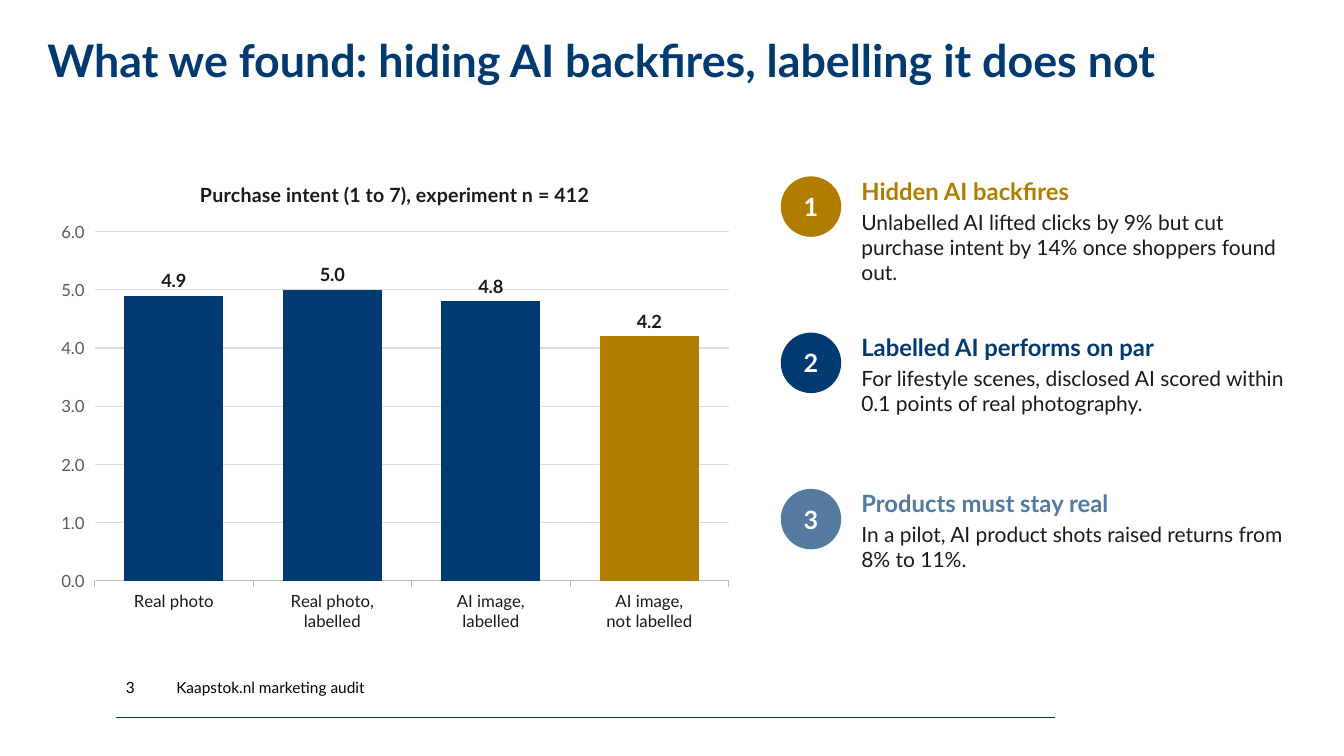
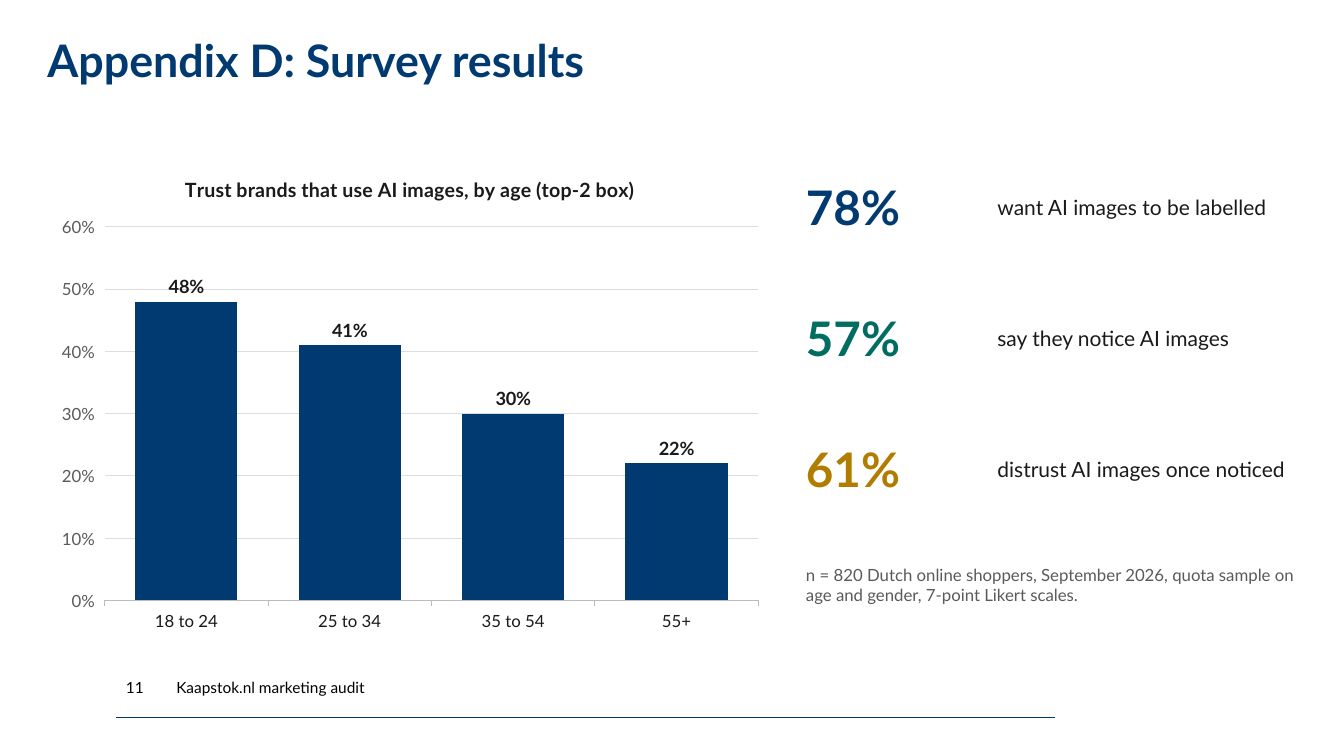
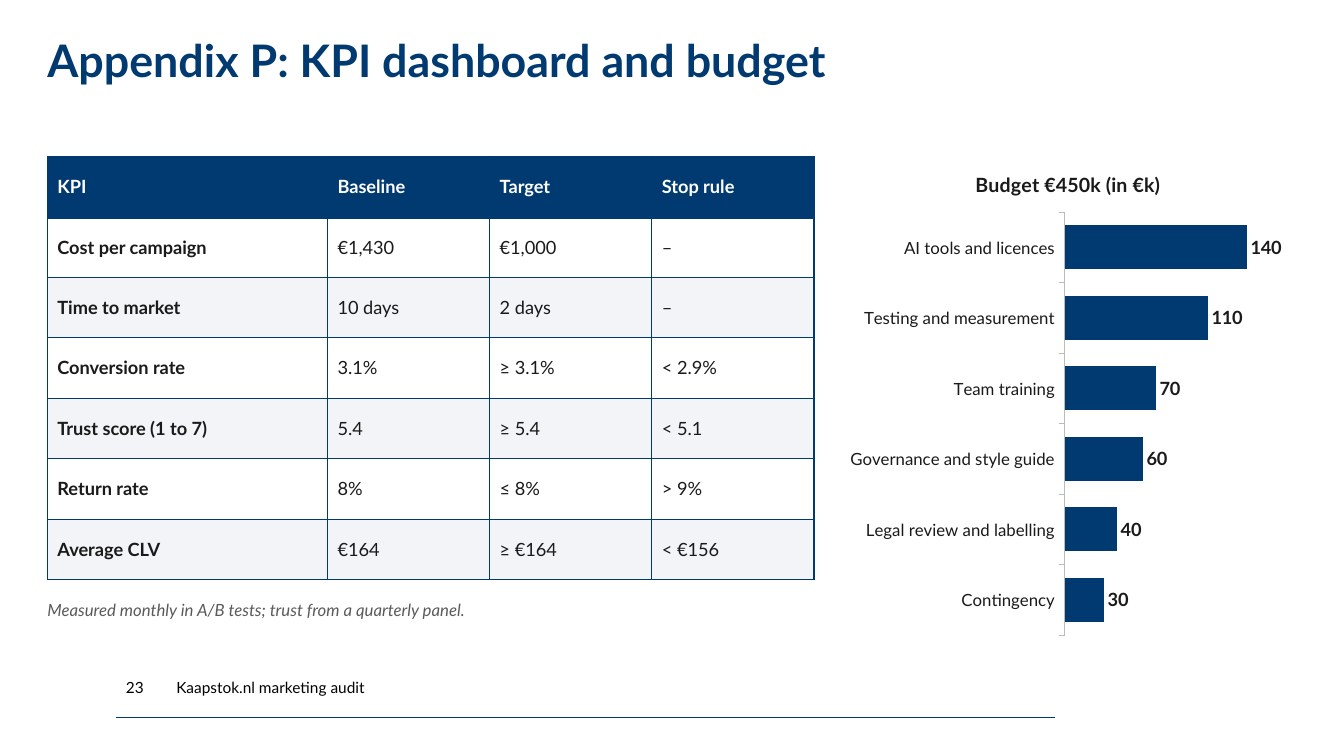
from lxml import etree
from pptx import Presentation
from pptx.chart.data import CategoryChartData as ChartData
from pptx.dml.color import RGBColor as RGB
from pptx.enum.chart import XL_CHART_TYPE as Kind, XL_LABEL_POSITION as Spot
from pptx.enum.shapes import MSO_CONNECTOR as Link, MSO_SHAPE as Form
from pptx.enum.text import MSO_ANCHOR as Anchor, PP_ALIGN as Align
from pptx.oxml.ns import qn
from pptx.util import Inches, Pt

NAVY = RGB(0x00, 0x3A, 0x70)
GOLD = RGB(0xB0, 0x7D, 0x00)
STEEL = RGB(0x54, 0x7A, 0x9F)
GREEN = RGB(0x01, 0x6D, 0x61)
INK = RGB(0x1A, 0x1A, 0x1A)
GREY = RGB(0x5A, 0x5A, 0x5A)
RULE = RGB(0xBB, 0xBB, 0xBB)
GRID = RGB(0xDD, 0xDD, 0xDD)
PALE = RGB(0xF2, 0xF4, 0xF8)
WHITE = RGB(0xFF, 0xFF, 0xFF)
BLACK = RGB(0x00, 0x00, 0x00)

LEFT = 0.47
FLUSH = (0, 0, 0, 0)
PAD = (0, 0.05, 0, 0.05)


def look(size, color, bold=False, **more):
    return {"name": "Lato", "size": Pt(size), "bold": bold, "color": color, **more}


TITLE = look(32, NAVY, True)
FOOT = look(11, BLACK)
BODY = look(15, INK)
NOTE = look(12, GREY)
BADGE = look(18, WHITE, True)
HEAD = look(14, INK, True)
LABEL = look(13, INK, True)
CELL = look(13, INK)
AXIS = look(12, INK)


def style(font, values):
    for key, val in values.items():
        if key == "color":
            font.color.rgb = val
        else:
            setattr(font, key, val)


def box(left, top, width, height):
    return [Inches(n) for n in (left, top, width, height)]


def stroke(line, color, width):
    line.color.rgb = color
    line.width = Pt(width)


class Deck:
    def __init__(self):
        self.prs = Presentation()
        self.prs.slide_width = Inches(13.34)
        self.prs.slide_height = Inches(7.5)

    def page(self, title, number):
        """Start a slide with the shared title, footer and rule."""
        self.slide = self.prs.slides.add_slide(self.prs.slide_layouts[6])
        self.shapes = self.slide.shapes
        self.rule(1.15, 7.12, 10.47)
        head = self.text((LEFT, 0, 12.39, 1.25), [(title, TITLE)], FLUSH, Anchor.MIDDLE)
        head.paragraphs[0].line_spacing = 0.9
        for left, width, words in ((1.75, 4, "Kaapstok.nl marketing audit"),
                                   (1.25, 0.5, str(number))):
            self.text((left, 6.62, width, 0.4), [(words, FOOT)], FLUSH, Anchor.MIDDLE)

    def rule(self, left, top, right):
        line = self.shapes.add_connector(
            Link.STRAIGHT, Inches(left), Inches(top), Inches(right), Inches(top))
        stroke(line.line, NAVY, 0.5)
        etree.SubElement(line._element.spPr, qn("a:effectLst"))

    def fill(self, frame, paras, inset, anchor):
        """Put (words, look) paragraphs into a text frame."""
        frame.word_wrap = True
        frame.vertical_anchor = anchor
        for side, gap in zip(("left", "top", "right", "bottom"), inset):
            setattr(frame, f"margin_{side}", Inches(gap))
        for i, (words, font) in enumerate(paras):
            para = frame.add_paragraph() if i else frame.paragraphs[0]
            run = para.add_run()
            run.text = words
            style(run.font, font)
        return frame

    def text(self, area, paras, inset=PAD, anchor=Anchor.TOP):
        frame = self.shapes.add_textbox(*box(*area)).text_frame
        return self.fill(frame, paras, inset, anchor)

    def badge(self, left, top, words, color):
        disc = self.shapes.add_shape(Form.OVAL, *box(left, top, 0.6, 0.6))
        disc.shadow.inherit = False
        disc.fill.solid()
        disc.fill.fore_color.rgb = color
        disc.line.fill.background()
        frame = self.fill(disc.text_frame, [(words, BADGE)], (0.02,) * 4, Anchor.MIDDLE)
        frame.paragraphs[0].alignment = Align.CENTER

    def chart(self, area, title, data, fmt, top, kind=Kind.COLUMN_CLUSTERED):
        """Draw a one-series chart; bars run downwards without a value axis."""
        source = ChartData()
        source.categories = list(data)
        source.add_series(title, list(data.values()))
        chart = self.shapes.add_chart(kind, *box(*area), source).chart
        style(chart.font, NOTE)
        chart.has_legend = False
        chart.has_title = True
        frame = chart.chart_title.text_frame
        frame.text = title
        style(frame.paragraphs[0].runs[0].font, HEAD)
        chart.chart_title.include_in_layout = False

        # Bars and labels
        plot = chart.plots[0]
        plot.gap_width = 60
        plot.vary_by_categories = False
        bars = plot.series[0]
        bars.format.fill.solid()
        bars.format.fill.fore_color.rgb = NAVY
        labels = bars.data_labels
        labels.show_value = True
        labels.position = Spot.OUTSIDE_END
        labels.number_format = fmt
        labels.number_format_is_linked = False
        style(labels.font, LABEL)

        # Axes
        cats, vals = chart.category_axis, chart.value_axis
        style(cats.tick_labels.font, AXIS)
        stroke(cats.format.line, RULE, 0.75)
        vals.minimum_scale, vals.maximum_scale = 0, top
        if kind == Kind.BAR_CLUSTERED:
            cats.reverse_order = True
            vals.has_major_gridlines = False
            vals.visible = False
        else:
            stroke(vals.major_gridlines.format.line, GRID, 0.75)
            vals.format.line.fill.background()
            vals.tick_labels.number_format = fmt
            vals.tick_labels.number_format_is_linked = False
        return bars

    def border(self, cell, side, width):
        line = etree.SubElement(cell._tc.get_or_add_tcPr(), qn(f"a:ln{side}"),
                                w=str(Pt(width)))
        paint = etree.SubElement(line, qn("a:solidFill"))
        etree.SubElement(paint, qn("a:srgbClr"), val=str(NAVY))

    def table(self, left, top, widths, height, rows):
        area = box(left, top, sum(widths), height * len(rows))
        grid = self.shapes.add_table(len(rows), len(widths), *area).table
        grid.horz_banding = False
        for col, width in zip(grid.columns, widths):
            col.width = Inches(width)
        for r, row in enumerate(rows):
            grid.rows[r].height = Inches(height)
            for c, words in enumerate(row):
                cell = grid.cell(r, c)
                for side in "LRTB":
                    self.border(cell, side, 3 if r == 0 and side == "B" else 1)
                cell.fill.solid()
                cell.fill.fore_color.rgb = NAVY if r == 0 else (PALE, WHITE)[r % 2]
                cell.vertical_anchor = Anchor.MIDDLE
                run = cell.text_frame.paragraphs[0].add_run()
                run.text = words
                style(run.font, {**CELL, "bold": r == 0 or c == 0,
                                 "color": INK if r else WHITE})


def findings(deck):
    deck.page("What we found: hiding AI backfires, labelling it does not", 3)
    bars = deck.chart(
        (LEFT, 1.6, 6.9, 4.75), "Purchase intent (1 to 7), experiment n = 412",
        {"Real photo": 4.9, "Real photo,\nlabelled": 5,
         "AI image,\nlabelled": 4.8, "AI image,\nnot labelled": 4.2}, "0.0", 6)
    last = bars.points[3].format.fill
    last.solid()
    last.fore_color.rgb = GOLD

    # Numbered findings
    points = [
        ("Hidden AI backfires", GOLD,
         "Unlabelled AI lifted clicks by 9% but cut purchase intent by 14% "
         "once shoppers found out."),
        ("Labelled AI performs on par", NAVY,
         "For lifestyle scenes, disclosed AI scored within 0.1 points of real photography."),
        ("Products must stay real", STEEL,
         "In a pilot, AI product shots raised returns from 8% to 11%."),
    ]
    for i, (head, color, words) in enumerate(points):
        top = 1.7 + 1.55 * i
        deck.badge(7.75, top + 0.05, str(i + 1), color)
        frame = deck.text((8.55, top, 4.3, 1.45),
                          [(head, look(17, color, True)), (words, BODY)])
        frame.paragraphs[0].space_after = Pt(3)


def survey(deck):
    deck.page("Appendix D: Survey results", 11)
    deck.chart((LEFT, 1.55, 7.2, 4.8),
               "Trust brands that use AI images, by age (top-2 box)",
               {"18 to 24": 0.48, "25 to 34": 0.41, "35 to 54": 0.3, "55+": 0.22},
               "0%", 0.6)

    # Key figures
    facts = [("78%", NAVY, "want AI images to be labelled"),
             ("57%", GREEN, "say they notice AI images"),
             ("61%", GOLD, "distrust AI images once noticed")]
    for i, (share, color, words) in enumerate(facts):
        top = 1.6 + 1.3 * i
        deck.text((8, top, 1.9, 0.9), [(share, look(34, color, True))],
                  anchor=Anchor.MIDDLE)
        deck.text((9.9, top, 2.95, 0.9), [(words, BODY)], anchor=Anchor.MIDDLE)
    deck.text((8, 5.55, 4.85, 0.8), [(
        "n = 820 Dutch online shoppers, September 2026, quota sample on age and gender, "
        "7-point Likert scales.", NOTE)])


def budget(deck):
    deck.page("Appendix P: KPI dashboard and budget", 23)
    deck.table(LEFT, 1.55, (2.78, 1.61, 1.61, 1.61), 0.6, [
        ("KPI", "Baseline", "Target", "Stop rule"),
        ("Cost per campaign", "€1,430", "€1,000", "–"),
        ("Time to market", "10 days", "2 days", "–"),
        ("Conversion rate", "3.1%", "≥ 3.1%", "< 2.9%"),
        ("Trust score (1 to 7)", "5.4", "≥ 5.4", "< 5.1"),
        ("Return rate", "8%", "≤ 8%", "> 9%"),
        ("Average CLV", "€164", "≥ €164", "< €156"),
    ])
    deck.text((LEFT, 5.9, 7.6, 0.45), [(
        "Measured monthly in A/B tests; trust from a quarterly panel.",
        {**NOTE, "italic": True})])
    deck.chart((8.35, 1.5, 4.5, 4.9), "Budget €450k (in €k)",
               {"AI tools and licences": 140, "Testing and measurement": 110,
                "Team training": 70, "Governance and style guide": 60,
                "Legal review and labelling": 40, "Contingency": 30},
               "0", 170, Kind.BAR_CLUSTERED)


def main():
    deck = Deck()
    for build in (findings, survey, budget):
        build(deck)
    deck.prs.save("out.pptx")


if __name__ == "__main__":
    main()
